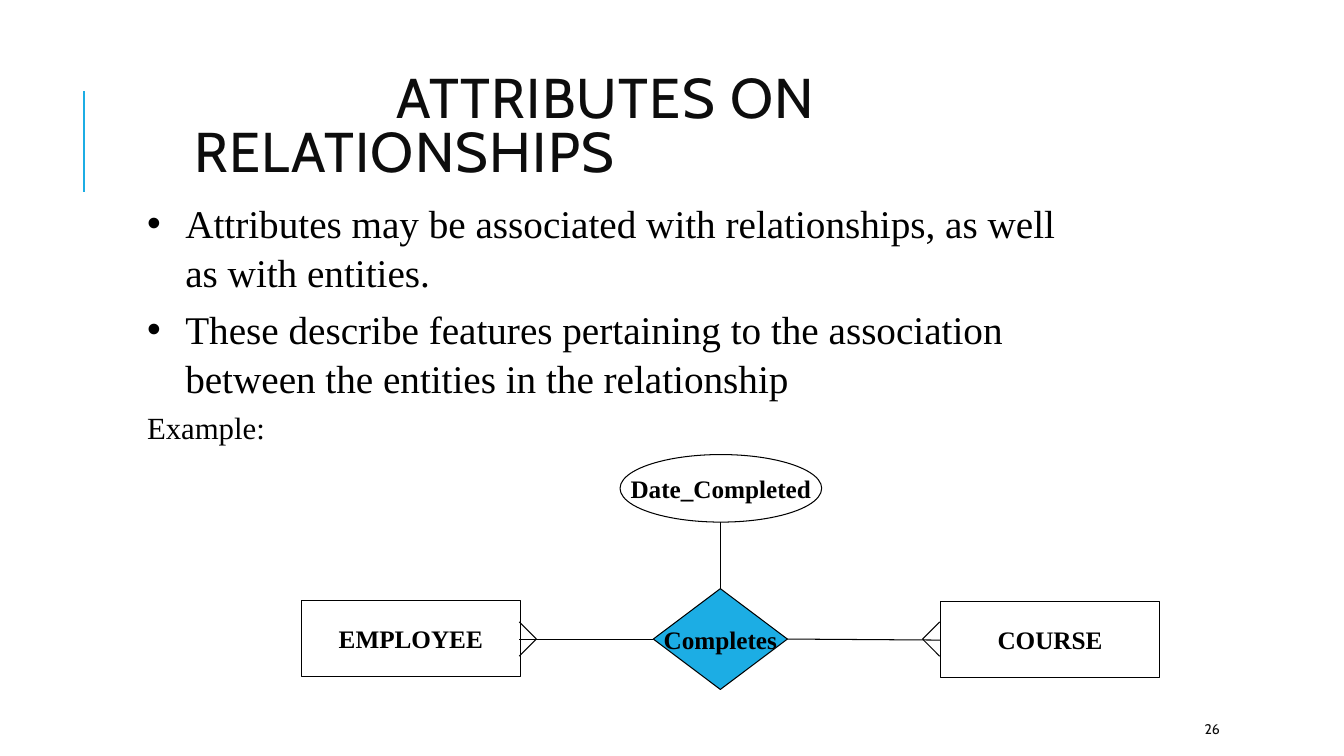
import dataclasses

import pptx
import pptx.dml.color
import pptx.enum.shapes
import pptx.enum.text
import pptx.oxml.ns
import pptx.util
import lxml.etree

Inches = pptx.util.Inches
Pt = pptx.util.Pt
Shape = pptx.enum.shapes.MSO_SHAPE
Anchor = pptx.enum.text.MSO_ANCHOR
Align = pptx.enum.text.PP_ALIGN


@dataclasses.dataclass(frozen=True)
class Theme:
    accent: str = "1CADE4"
    heading: str = "0D0D0D"
    ink: str = "000000"
    heading_font: str = "Cabin"
    body_font: str = "Times New Roman"
    title_size: int = 40
    bullet_size: int = 28
    example_size: int = 22
    label_size: int = 18
    number_size: int = 10
    thin: float = 0.75
    thick: float = 1.5


class SlideBuilder:
    def __init__(self, deck, theme):
        self.theme = theme
        self.slide = deck.slides.add_slide(deck.slide_layouts[5])

    def color(self, value):
        return pptx.dml.color.RGBColor.from_string(value)

    def style(self, para, size, font, color, bold=False):
        for span in para.runs:
            span.font.size = Pt(size)
            span.font.name = font
            span.font.color.rgb = self.color(color)
            span.font.bold = bold

    def text_box(self, left, top, width, height, anchor=Anchor.TOP):
        box = self.slide.shapes.add_textbox(
            Inches(left), Inches(top), Inches(width), Inches(height))
        box.text_frame.word_wrap = True
        box.text_frame.vertical_anchor = anchor
        return box.text_frame

    def title(self, text, left, top, width, height, first_indent):
        title = self.slide.shapes.title
        title.left, title.top = Inches(left), Inches(top)
        title.width, title.height = Inches(width), Inches(height)
        frame = title.text_frame
        frame.text = text
        frame.word_wrap = True
        frame.auto_size = pptx.enum.text.MSO_AUTO_SIZE.NONE
        frame.vertical_anchor = Anchor.MIDDLE
        para = frame.paragraphs[0]
        para.alignment = Align.LEFT
        para.line_spacing = 0.8
        self.indent(para, 0, first_indent)
        self.style(para, self.theme.title_size, self.theme.heading_font,
                   self.theme.heading)
        para.runs[0].font._element.set("spc", "100")

    def indent(self, para, margin, first):
        properties = para._p.get_or_add_pPr()
        properties.set("marL", str(Inches(margin)))
        properties.set("indent", str(Inches(first)))
        return properties

    def bullet(self, para):
        properties = self.indent(para, 0.38, -0.38)
        qn = pptx.oxml.ns.qn
        lxml.etree.SubElement(properties, qn("a:buFont")).set("typeface", "Arial")
        lxml.etree.SubElement(properties, qn("a:buChar")).set("char", "•")

    def body(self, bullets, example, left, top, width, height):
        frame = self.text_box(left, top, width, height)
        for index, text in enumerate(bullets + [example]):
            para = frame.paragraphs[0] if index == 0 else frame.add_paragraph()
            para.text = text
            size = self.theme.example_size
            if text != example:
                self.bullet(para)
                size = self.theme.bullet_size
            para.line_spacing = 1.04
            if index:
                para.space_before = Pt(0.2 * size)
            self.style(para, size, self.theme.body_font, self.theme.ink)

    def page_number(self, text, left, top, width, height):
        frame = self.text_box(left, top, width, height, Anchor.MIDDLE)
        frame.text = text
        self.style(frame.paragraphs[0], self.theme.number_size,
                   self.theme.heading_font, self.theme.heading)

    def node(self, kind, text, left, top, width, height, fill=None):
        shape = self.slide.shapes.add_shape(
            kind, Inches(left), Inches(top), Inches(width), Inches(height))
        shape.shadow.inherit = False
        if fill:
            shape.fill.solid()
            shape.fill.fore_color.rgb = self.color(fill)
        else:
            shape.fill.background()
        shape.line.color.rgb = self.color(self.theme.ink)
        shape.line.width = Pt(self.theme.thin)
        frame = shape.text_frame
        frame.text = text
        frame.word_wrap = False
        frame.vertical_anchor = Anchor.MIDDLE
        para = frame.paragraphs[0]
        para.alignment = Align.CENTER
        self.style(para, self.theme.label_size, self.theme.body_font,
                   self.theme.ink, bold=True)

    def line(self, start, end, color=None, width=None):
        connector = self.slide.shapes.add_connector(
            pptx.enum.shapes.MSO_CONNECTOR.STRAIGHT,
            *(Inches(value) for value in start + end))
        connector.line.color.rgb = self.color(color or self.theme.ink)
        connector.line.width = Pt(width or self.theme.thin)
        lxml.etree.SubElement(connector._element.spPr,
                              pptx.oxml.ns.qn("a:effectLst"))

    def crow_foot(self, tip, edge, middle, spread=0.17):
        for offset in (-spread, spread):
            self.line((tip, middle), (edge, middle + offset))


def main():
    deck = pptx.Presentation()
    deck.slide_width, deck.slide_height = Inches(13.33), Inches(7.5)
    theme = Theme()
    page = SlideBuilder(deck, theme)

    page.line((0.83, 1.9), (0.83, 0.9), theme.accent, theme.thick)
    page.title("ATTRIBUTES ON RELATIONSHIPS", 1.83, 0.7, 9.67, 1.17, 2)
    page.page_number("26", 11.85, 7.08, 1.06, 0.3)

    page.node(Shape.RECTANGLE, "EMPLOYEE", 2.99, 5.96, 2.17, 0.75)
    page.node(Shape.RECTANGLE, "COURSE", 9.33, 5.97, 2.17, 0.75)
    page.node(Shape.DIAMOND, "Completes", 6.48, 5.84, 1.33, 1, theme.accent)
    page.node(Shape.OVAL, "Date_Completed", 6.15, 4.51, 2, 0.67)

    middle = 6.34
    page.line((5.15, middle), (6.48, middle))
    page.line((7.81, middle), (9.33, 6.35))
    page.line((7.15, 5.84), (7.15, 5.18))
    page.crow_foot(5.32, 5.15, middle)
    page.crow_foot(9.15, 9.32, middle)

    page.body(
        ["Attributes may be associated with relationships, as well as with entities.",
         "These describe features pertaining to the association between the "
         "entities in the relationship"],
        "Example:", 1.36, 1.91, 9.58, 1.08)
    deck.save("out.pptx")


if __name__ == "__main__":
    main()
